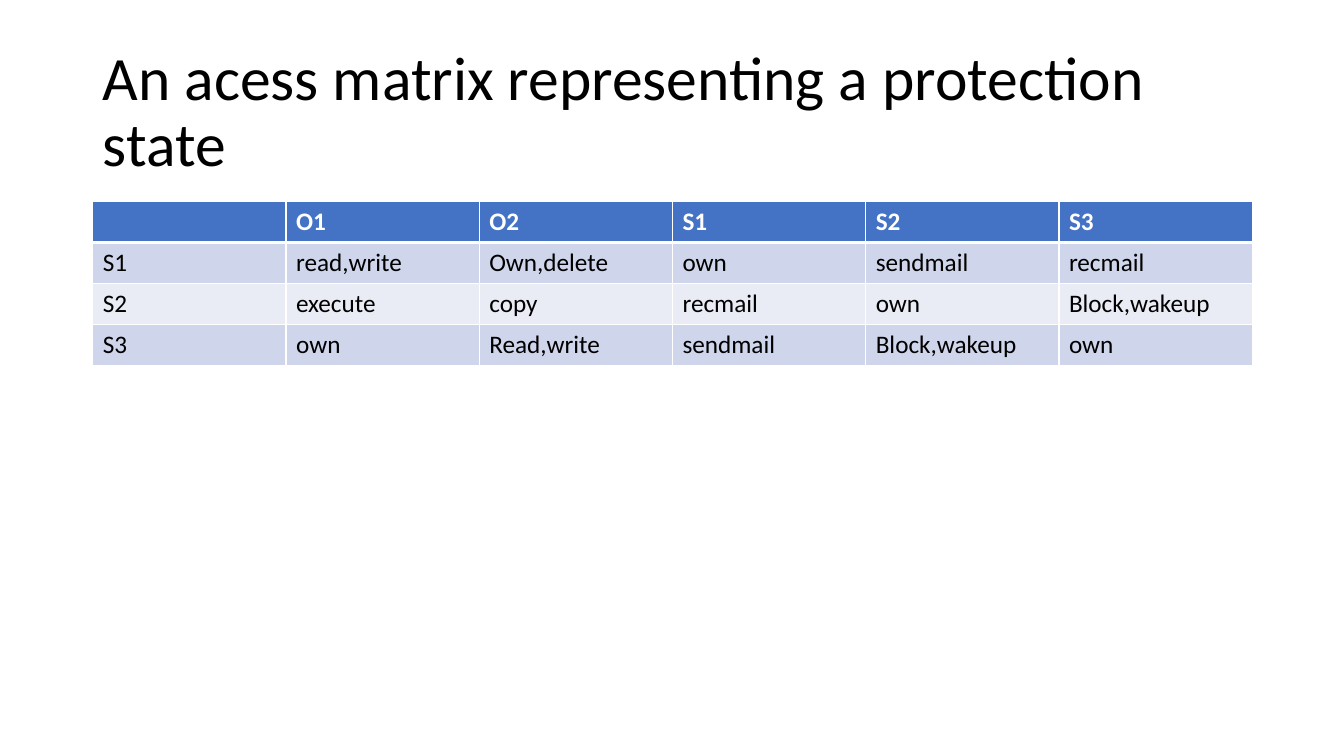
from lxml import etree
from pptx import Presentation
from pptx.dml.color import RGBColor
from pptx.enum import text
from pptx.oxml import ns
from pptx import util as u

# Content
TITLE = "An acess matrix representing a protection state"
MATRIX = [
    ("", "O1", "O2", "S1", "S2", "S3"),
    ("S1", "read,write", "Own,delete", "own", "sendmail", "recmail"),
    ("S2", "execute", "copy", "recmail", "own", "Block,wakeup"),
    ("S3", "own", "Read,write", "sendmail", "Block,wakeup", "own"),
]

# Look
FONT = "Calibri"
BLACK = RGBColor(0x00, 0x00, 0x00)
WHITE = RGBColor(0xFF, 0xFF, 0xFF)
HEADER_BLUE = RGBColor(0x44, 0x72, 0xC4)
BANDS = (RGBColor(0xE9, 0xEB, 0xF5), RGBColor(0xCF, 0xD5, 0xEA))
TITLE_FONT = {"name": FONT, "size": u.Pt(44), "bold": False}
HEADER_FONT = {"name": FONT, "size": u.Pt(18), "bold": True}
BODY_FONT = {**HEADER_FONT, "bold": False}

# Layout
PAGE_WIDTH, PAGE_HEIGHT = u.Inches(13.33), u.Inches(7.5)
LEFT, CONTENT_WIDTH = u.Inches(0.92), u.Inches(11.5)
ROW_HEIGHT = u.Inches(0.405)


def set_values(target, values):
    for name, value in values.items():
        setattr(target, name, value)


def add_border(cell, side, points):
    line = etree.SubElement(cell._tc.get_or_add_tcPr(), ns.qn(f"a:ln{side}"),
                            w=str(u.Pt(points)))
    fill = etree.SubElement(line, ns.qn("a:solidFill"))
    etree.SubElement(fill, ns.qn("a:srgbClr"), val=str(WHITE))


def format_cell(cell, row, label):
    # The rule under the header is thicker than the other lines
    widths = {"L": 1, "R": 1, "T": 3 if row == 1 else 1, "B": 3 if row == 0 else 1}
    for side, points in widths.items():
        add_border(cell, side, points)
    cell.fill.solid()
    cell.fill.fore_color.rgb = BANDS[row % 2] if row else HEADER_BLUE
    para = cell.text_frame.paragraphs[0]
    if label:
        span = para.add_run()
        span.text = label
        set_values(span.font, BODY_FONT if row else HEADER_FONT)
        span.font.color.rgb = BLACK if row else WHITE


def main():
    deck = Presentation()
    set_values(deck, {"slide_width": PAGE_WIDTH, "slide_height": PAGE_HEIGHT})
    page = deck.slides.add_slide(deck.slide_layouts[5])

    # Title
    title = page.shapes.title
    set_values(title, {"left": LEFT, "top": u.Inches(0.4),
                       "width": CONTENT_WIDTH, "height": u.Inches(1.45)})
    title.text = TITLE
    set_values(title.text_frame, {"word_wrap": True,
                                  "auto_size": text.MSO_AUTO_SIZE.NONE,
                                  "vertical_anchor": text.MSO_ANCHOR.MIDDLE})
    para = title.text_frame.paragraphs[0]
    set_values(para, {"alignment": text.PP_ALIGN.LEFT, "line_spacing": 0.9})
    set_values(para.runs[0].font, TITLE_FONT)
    para.runs[0].font.color.rgb = BLACK

    # Access matrix
    rows, columns = len(MATRIX), len(MATRIX[0])
    table = page.shapes.add_table(rows, columns, LEFT, u.Inches(2),
                                  CONTENT_WIDTH, ROW_HEIGHT * rows).table
    for row, labels in enumerate(MATRIX):
        for column, label in enumerate(labels):
            format_cell(table.cell(row, column), row, label)

    deck.save("out.pptx")


if __name__ == "__main__":
    main()
